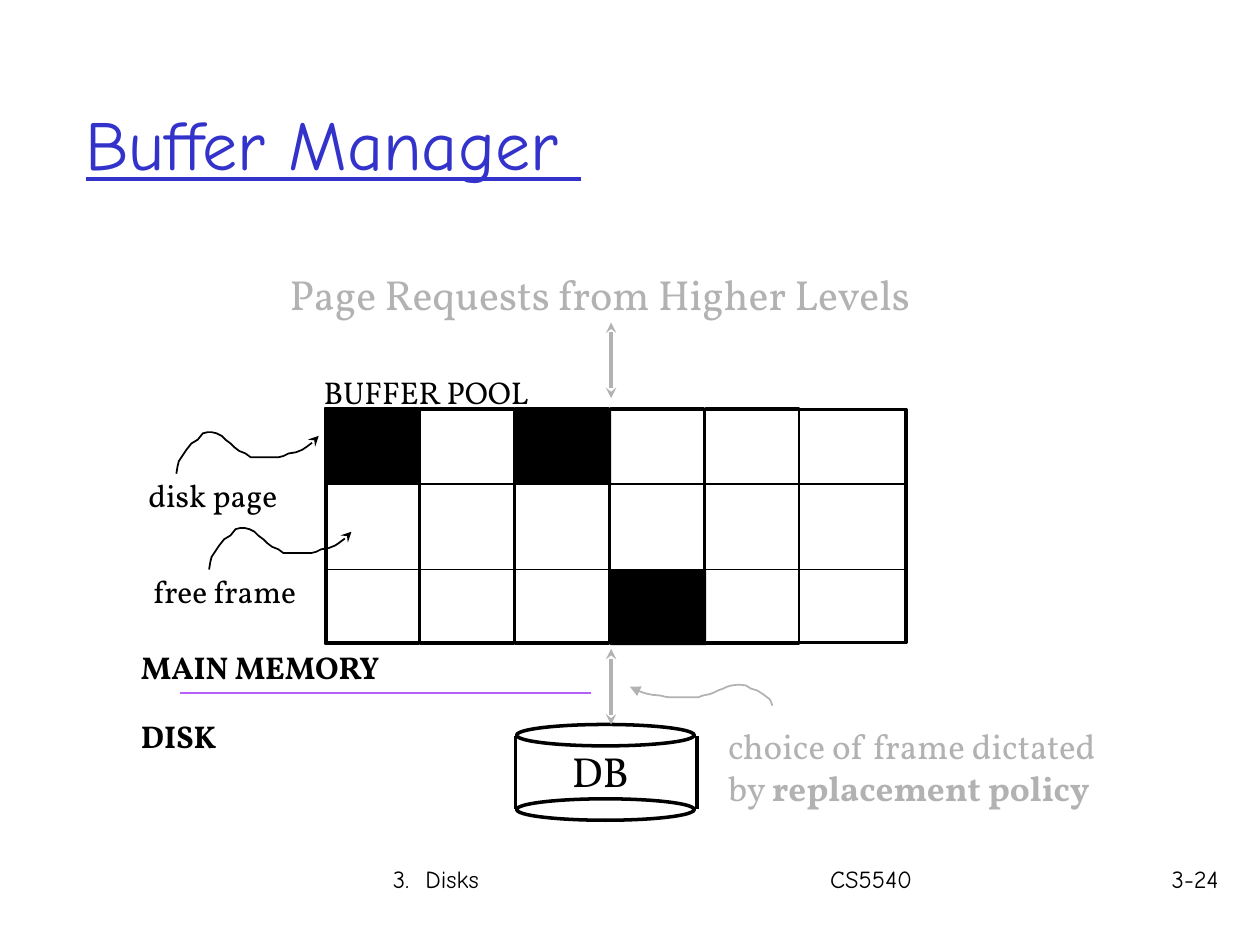
from lxml import etree
from pptx import Presentation
from pptx.dml.color import RGBColor
from pptx.enum import shapes as kinds, text as txt
from pptx.oxml.ns import qn
from pptx.util import Inches, Pt

SANS, SERIF = "Comic Neue", "Vollkorn"
BLACK, GREY, BLUE, PURPLE = "000000", "B2B2B2", "3333CC", "B760F9"
RECT, OVAL = kinds.MSO_SHAPE.RECTANGLE, kinds.MSO_SHAPE.OVAL

# text, (left, top, width, height), format
LABELS = [
    ("Page Requests from Higher Levels", (2.2, 2.08, 5.6, 0.5),
     dict(size=24, color=GREY)),
    ("BUFFER POOL", (2.47, 2.91, 1.9, 0.4), {}),
    ("disk page", (1.08, 3.73, 1.32, 0.4), {}),
    ("free frame", (1.12, 4.49, 1.46, 0.4), {}),
    ("MAIN MEMORY", (1.02, 5.09, 2.17, 0.4), dict(bold=True)),
    ("DISK", (1.02, 5.64, 0.82, 0.4), dict(bold=True)),
    ("DB", (4.44, 5.87, 0.71, 0.5), dict(size=24)),
    ([[("choice of frame dictated", False)],
      [("by ", False), ("replacement policy", True)]],
     (5.68, 5.7, 3.4, 0.76), dict(size=20, color=GREY)),
    ("3.  Disks", (3.02, 6.81, 1.2, 0.5), dict(size=14, font=SANS)),
    ("CS5540", (6.49, 6.81, 1.2, 0.5), dict(size=14, font=SANS)),
    ("3-24", (9.03, 6.81, 0.74, 0.5),
     dict(size=14, font=SANS, align=txt.PP_ALIGN.RIGHT)),
]

# Buffer pool grid
LEFT, STEP, COLS = 2.58, 0.755, 5
ROWS = [3.24, 3.84, 4.52]
CELL = (0.76, 0.6)
USED = [(0, 0), (0, 2), (2, 3)]  # row, column

# Start, end, colour, width, heads
LINES = [
    ((2.57, ROWS[1]), (7.2, ROWS[1]), BLACK, 1, None),
    ((2.57, ROWS[2]), (7.2, ROWS[2]), BLACK, 1, None),
    ((4.09, 5.84), (4.09, 6.42), BLACK, 2, None),
    ((5.53, 5.84), (5.53, 6.42), BLACK, 2, None),
    ((1.43, 5.5), (4.69, 5.5), PURPLE, 1, None),
    ((4.85, 2.56), (4.85, 3.16), GREY, 2, "stealth"),
    ((4.85, 5.15), (4.85, 5.75), GREY, 2, "stealth"),
]

# Offsets of the wavy arrow from its start
WAVE = [
    (0, 0), (0.01, -0.06), (0.02, -0.1), (0.04, -0.13), (0.08, -0.19),
    (0.12, -0.24), (0.17, -0.27), (0.21, -0.32), (0.25, -0.33),
    (0.28, -0.33), (0.32, -0.32), (0.36, -0.3), (0.39, -0.27),
    (0.43, -0.24), (0.46, -0.21), (0.5, -0.18), (0.55, -0.16),
    (0.59, -0.13), (0.63, -0.13), (0.76, -0.13), (0.81, -0.13),
    (0.85, -0.14), (0.89, -0.16), (0.95, -0.17), (1, -0.19),
    (1.03, -0.21), (1.07, -0.24), (1.1, -0.26), (1.13, -0.3),
]
# Start, scale across, scale down, colour, head
WAVES = [
    ((1.4, 3.76), 1, 1, BLACK, "stealth"),
    ((1.66, 4.52), 1, 1, BLACK, "stealth"),
    ((6.13, 5.6), -1, 0.5, GREY, "triangle"),
]

deck = Presentation()
deck.slide_width, deck.slide_height = Inches(10), Inches(7.5)
slide = deck.slides.add_slide(deck.slide_layouts[5])
items = slide.shapes


def rgb(code):
    return RGBColor.from_string(code)


def write(frame, body, size=18, color=BLACK, font=SERIF, bold=False,
          under=False, align=txt.PP_ALIGN.LEFT):
    """Fill a frame with a string, or with lists of (text, bold) runs."""
    rows = [[(body, bold)]] if isinstance(body, str) else body
    for i, row in enumerate(rows):
        para = frame.add_paragraph() if i else frame.paragraphs[0]
        para.alignment = align
        for part, heavy in row:
            run = para.add_run()
            run.text = part
            face = run.font
            face.name, face.size, face.bold = font, Pt(size), heavy
            face.underline = under
            face.color.rgb = rgb(color)


def stroke(line, color, width, head=None, tail=None):
    """Set colour, width and arrowheads of a line."""
    line.color.rgb = rgb(color)
    line.width = Pt(width)
    for tag, kind in (("a:headEnd", head), ("a:tailEnd", tail)):
        if kind:
            etree.SubElement(line._get_or_add_ln(), qn(tag), type=kind)


def block(kind, box, width=0, fill=None):
    shape = items.add_shape(kind, *map(Inches, box))
    shape.shadow.inherit = False
    if fill:
        shape.fill.solid()
        shape.fill.fore_color.rgb = rgb(fill)
    else:
        shape.fill.background()
    if width:
        stroke(shape.line, BLACK, width)
    else:
        shape.line.fill.background()


def link(start, end, color, width, heads):
    line = items.add_connector(kinds.MSO_CONNECTOR.STRAIGHT,
                               *map(Inches, start + end))
    stroke(line.line, color, width, heads, heads)
    etree.SubElement(line._element.spPr, qn("a:effectLst"))


def wave(start, across, down, color, head):
    dots = [(Inches(start[0] + across * x), Inches(start[1] + down * y))
            for x, y in WAVE]
    pen = items.build_freeform(*dots[0])
    pen.add_line_segments(dots[1:], close=False)
    shape = pen.convert_to_shape()
    shape.shadow.inherit = False
    shape.fill.background()
    stroke(shape.line, color, 1, tail=head)


title = items.title
title.left, title.top, title.width, title.height = map(
    Inches, (0.58, 0.51, 8.5, 1.24))
title.text_frame.vertical_anchor = txt.MSO_ANCHOR.MIDDLE
write(title.text_frame, "Buffer Manager ", size=40, color=BLUE, font=SANS,
      under=True)

block(RECT, (2.59, 3.25, 4.6, 1.85), 2)
for col in range(COLS):
    block(RECT, (LEFT + col * STEP, ROWS[0], 0.745, 1.87), 1)
for row, col in USED:
    block(RECT, (LEFT + col * STEP, ROWS[row], *CELL), fill=BLACK)
for top in (5.75, 6.34):
    block(OVAL, (4.1, top, 1.41, 0.17), 2)
for line in LINES:
    link(*line)
for curve in WAVES:
    wave(*curve)
for body, box, style in LABELS:
    frame = items.add_textbox(*map(Inches, box)).text_frame
    frame.word_wrap = False
    write(frame, body, **style)

deck.save("out.pptx")
